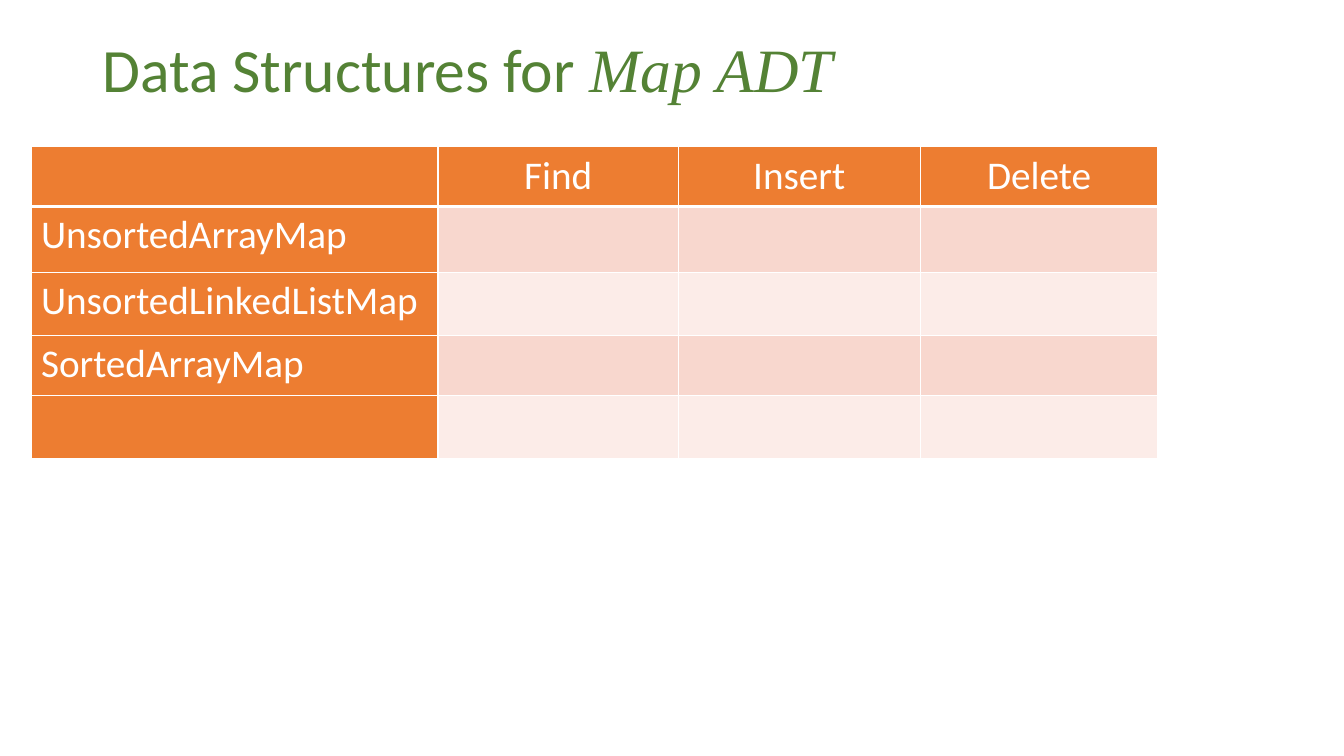
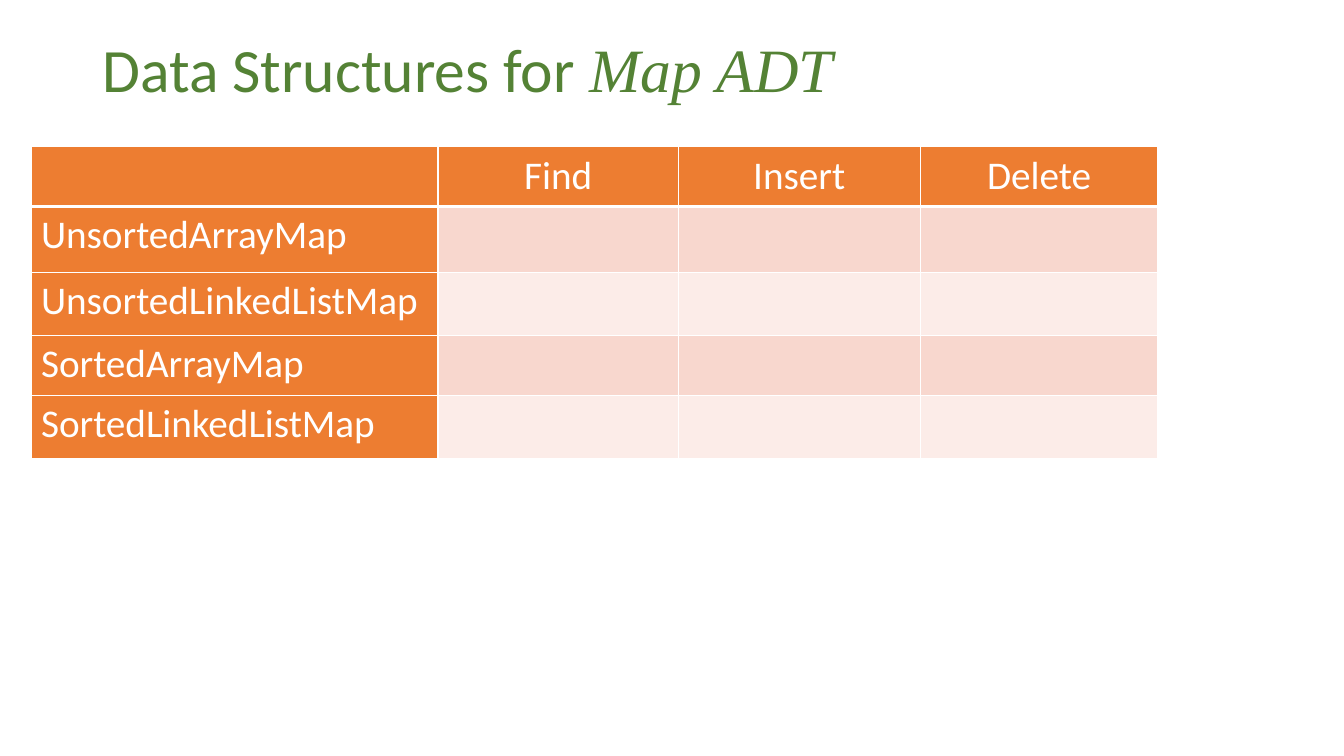
import dataclasses

import lxml.etree
import pptx
import pptx.dml.color
import pptx.enum.text
import pptx.oxml.ns
import pptx.presentation
import pptx.slide
import pptx.table
import pptx.util

Cm = pptx.util.Cm
Pt = pptx.util.Pt

GREEN = "548235"
ORANGE = "ED7D31"
BANDS = ("F8D7CE", "FCECE8")
WHITE = "FFFFFF"
BODY_FONT = "Calibri"
TERM_FONT = "Times New Roman"

COLUMN_WIDTHS = (10.26, 6.05, 6.1, 5.99)
ROW_HEIGHTS = (1.5, 1.66, 1.59, 1.51, 1.59)
OPERATIONS = ("", "Find", "Insert", "Delete")
STRUCTURES = ("UnsortedArrayMap", "UnsortedLinkedListMap", "SortedArrayMap")


@dataclasses.dataclass(frozen=True)
class Span:
    text: str
    size: float
    color: str
    font: str = BODY_FONT
    italic: bool = False


TITLE = (
    Span("Data Structures for ", 44, GREEN),
    Span("Map ADT", 44, GREEN, TERM_FONT, True),
)


def rgb(color: str) -> pptx.dml.color.RGBColor:
    return pptx.dml.color.RGBColor.from_string(color)


def add_span(para, span: Span) -> None:
    run = para.add_run()
    run.text = span.text
    run.font.name = span.font
    run.font.size = Pt(span.size)
    run.font.italic = span.italic
    run.font.bold = False
    run.font.color.rgb = rgb(span.color)


def add_title(page: pptx.slide.Slide) -> None:
    box = page.shapes.add_textbox(Cm(2.33), Cm(0), Cm(29.21), Cm(3.68))
    frame = box.text_frame
    frame.word_wrap = True
    frame.vertical_anchor = pptx.enum.text.MSO_ANCHOR.MIDDLE
    para = frame.paragraphs[0]
    para.line_spacing = 0.9
    for span in TITLE:
        add_span(para, span)


def add_borders(cell: pptx.table._Cell, bottom: float) -> None:
    properties = cell._tc.get_or_add_tcPr()
    for side, width in (("L", 1), ("R", 1), ("T", 1), ("B", bottom)):
        line = lxml.etree.SubElement(
            properties, pptx.oxml.ns.qn(f"a:ln{side}"), w=str(Pt(width))
        )
        fill = lxml.etree.SubElement(line, pptx.oxml.ns.qn("a:solidFill"))
        lxml.etree.SubElement(fill, pptx.oxml.ns.qn("a:srgbClr"), val=WHITE)


def style_cell(cell: pptx.table._Cell, row: int, column: int, text: str) -> None:
    is_heading = row == 0 or column == 0
    add_borders(cell, 3 if row == 0 else 1)
    cell.fill.solid()
    cell.fill.fore_color.rgb = rgb(ORANGE if is_heading else BANDS[(row - 1) % 2])
    if text:
        para = cell.text_frame.paragraphs[0]
        if row == 0:
            para.alignment = pptx.enum.text.PP_ALIGN.CENTER
        add_span(para, Span(text, 28, WHITE))


def add_operations_table(page: pptx.slide.Slide, structures: tuple[str, ...]) -> None:
    table = page.shapes.add_table(
        len(ROW_HEIGHTS), len(COLUMN_WIDTHS), Cm(0.78), Cm(3.7),
        Cm(sum(COLUMN_WIDTHS)), Cm(sum(ROW_HEIGHTS)),
    ).table
    for column, width in zip(table.columns, COLUMN_WIDTHS):
        column.width = Cm(width)
    for row, height in zip(table.rows, ROW_HEIGHTS):
        row.height = Cm(height)
    labels = {(0, column): text for column, text in enumerate(OPERATIONS)}
    labels.update({(row, 0): text for row, text in enumerate(structures, 1)})
    for row in range(len(ROW_HEIGHTS)):
        for column in range(len(COLUMN_WIDTHS)):
            style_cell(table.cell(row, column), row, column, labels.get((row, column), ""))


def add_page(deck: pptx.presentation.Presentation, structures: tuple[str, ...]) -> None:
    page = deck.slides.add_slide(deck.slide_layouts[6])
    add_title(page)
    add_operations_table(page, structures)


def main() -> None:
    deck = pptx.Presentation()
    deck.slide_width = Cm(33.87)
    deck.slide_height = Cm(19.05)
    for structures in (STRUCTURES, STRUCTURES + ("SortedLinkedListMap",)):
        add_page(deck, structures)
    deck.save("out.pptx")


if __name__ == "__main__":
    main()
